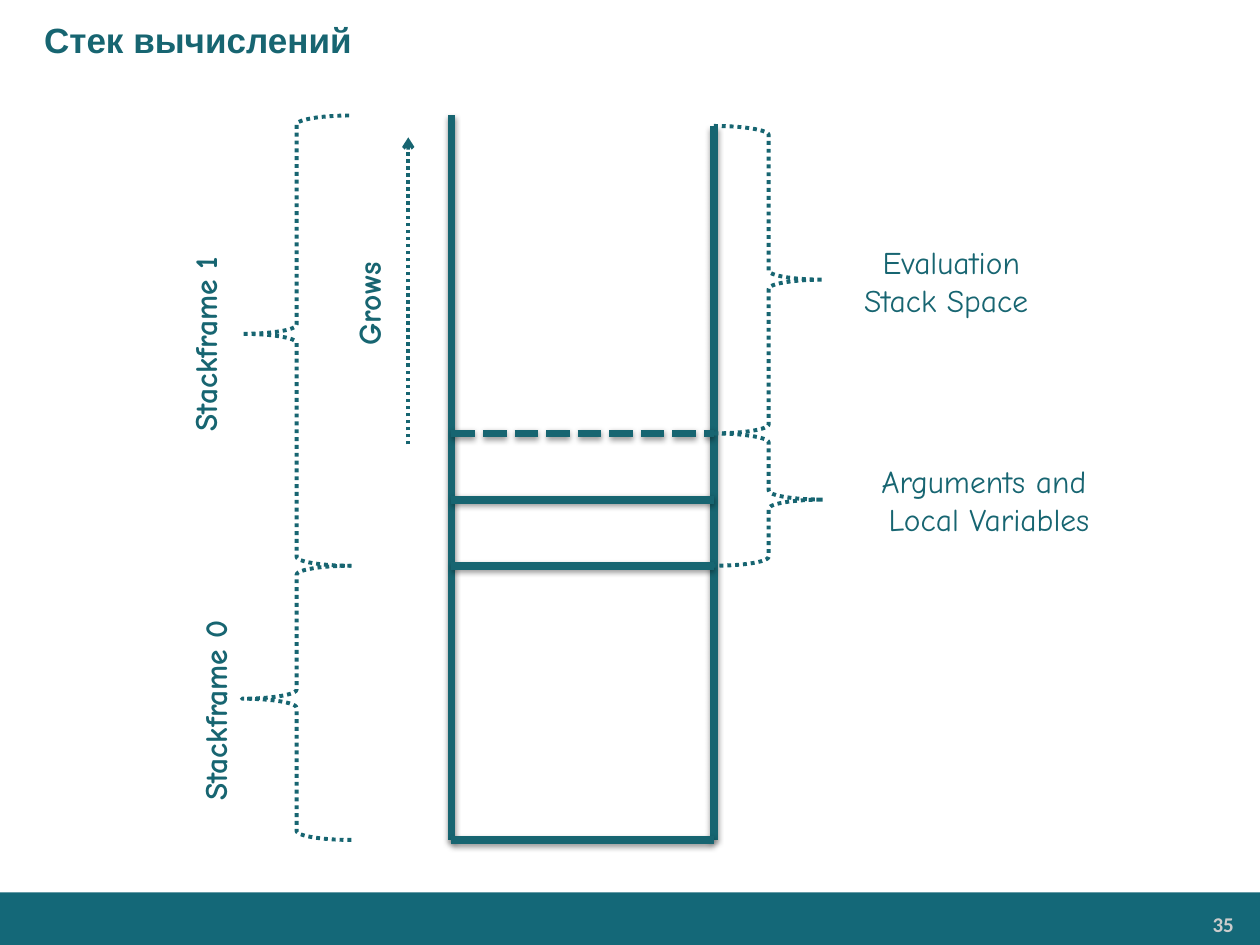
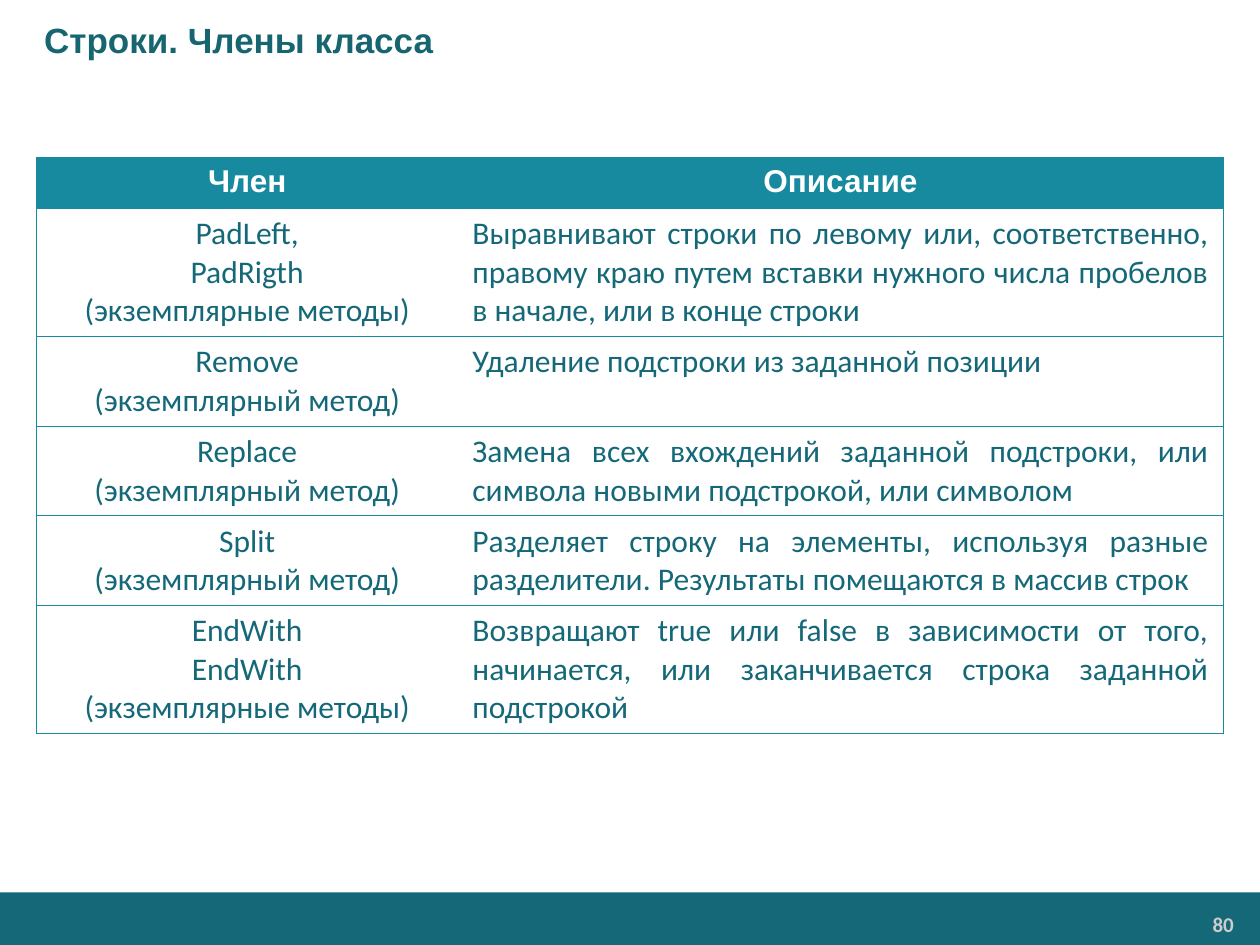
import collections
import dataclasses

import pptx
import pptx.dml.color
import pptx.enum.dml
import pptx.enum.shapes
import pptx.enum.text
import pptx.oxml
import pptx.oxml.ns
import pptx.util
from lxml import etree

Pt = pptx.util.Pt
ALIGN = pptx.enum.text.PP_ALIGN
SHAPE = pptx.enum.shapes.MSO_SHAPE
DASH = pptx.enum.dml.MSO_LINE
qn = pptx.oxml.ns.qn

Box = collections.namedtuple("Box", "left top width height")


@dataclasses.dataclass(frozen=True)
class Theme:
    ink: str = "176571"
    band: str = "146878"
    accent: str = "178AA0"
    white: str = "FFFFFF"
    page_number: str = "CCCCCC"
    title_font: str = "Arial"
    body_font: str = "Calibri"
    diagram_font: str = "Comic Neue"
    title_size: int = 20
    body_size: int = 18
    number_size: int = 12
    wall_width: float = 4.5
    brace_width: float = 2.25
    arrow_width: float = 2
    border_width: float = 0.75


THEME = Theme()
TITLE_BOX = Box(0, 0, 720, 45)
FOOTER_BOX = Box(0, 510, 720, 30)
STACK_BOX = Box(108, 66, 540, 414)
MEMBERS_BOX = Box(21, 90, 678, 325)

MEMBERS = [
    (["PadLeft,", "PadRigth", "(экземплярные методы)"],
     "Выравнивают строки по левому или, соответственно, правому краю путем "
     "вставки нужного числа пробелов в начале, или в конце строки"),
    (["Remove", "(экземплярный метод)"],
     "Удаление подстроки из заданной позиции"),
    (["Replace", "(экземплярный метод)"],
     "Замена всех вхождений заданной подстроки, или символа новыми "
     "подстрокой, или символом"),
    (["Split", "(экземплярный метод)"],
     "Разделяет строку на элементы, используя разные разделители. "
     "Результаты помещаются в массив строк"),
    (["EndWith", "EndWith", "(экземплярные методы)"],
     "Возвращают true или false в зависимости от того, начинается, или "
     "заканчивается строка заданной подстрокой"),
]


# Helpers
def rgb(color):
    return pptx.dml.color.RGBColor.from_string(color)


def points(*lengths):
    return [Pt(length) for length in lengths]


def write(frame, lines, font, size, color, bold=False, aligns=(ALIGN.LEFT,)):
    """Fill a text frame; the last alignment holds for the remaining lines."""
    frame.text = "\n".join(lines)
    for index, paragraph in enumerate(frame.paragraphs):
        paragraph.alignment = aligns[min(index, len(aligns) - 1)]
        paragraph.font.name = font
        paragraph.font.size = Pt(size)
        paragraph.font.bold = bold
        paragraph.font.color.rgb = rgb(color)


def style_line(line, width, dash=None):
    line.color.rgb = rgb(THEME.ink)
    line.width = Pt(width)
    if dash is not None:
        line.dash_style = dash


def add_line(slide, start, end, width, dash=None):
    """Add a straight line and return it with its empty effect list."""
    line = slide.shapes.add_connector(
        pptx.enum.shapes.MSO_CONNECTOR.STRAIGHT, *points(*start, *end))
    style_line(line.line, width, dash)
    effects = etree.SubElement(line._element.spPr, qn("a:effectLst"))
    return line, effects


# Shared slide parts
def add_footer(slide, box, number):
    band = slide.shapes.add_shape(SHAPE.RECTANGLE, *points(*box))
    band.shadow.inherit = False
    band.fill.solid()
    band.fill.fore_color.rgb = rgb(THEME.band)
    band.line.fill.background()

    page = slide.shapes.add_textbox(
        *points(box.left + box.width - 127.5, box.top + 7.7, 117.5, 20))
    frame = page.text_frame
    frame.word_wrap = True
    frame.margin_left = frame.margin_right = Pt(5)
    frame.margin_top = frame.margin_bottom = Pt(3)
    write(frame, [str(number)], THEME.body_font, THEME.number_size,
          THEME.page_number, True, [ALIGN.RIGHT])


def add_slide(deck, heading, number):
    slide = deck.slides.add_slide(deck.slide_layouts[5])
    add_footer(slide, FOOTER_BOX, number)
    title = slide.shapes.title
    title.left, title.top, title.width, title.height = points(*TITLE_BOX)
    frame = title.text_frame
    frame.margin_left = Pt(25.2)
    frame.vertical_anchor = pptx.enum.text.MSO_ANCHOR.MIDDLE
    write(frame, [heading], THEME.title_font, THEME.title_size, THEME.ink, True)
    return slide


# Stack diagram
def add_wall(slide, start, end, dash=None):
    _, effects = add_line(slide, start, end, THEME.wall_width, dash)
    shadow = etree.SubElement(
        effects, qn("a:outerShdw"), blurRad="40000", dist="20000",
        dir="5400000", rotWithShape="0")
    black = etree.SubElement(shadow, qn("a:srgbClr"), val="000000")
    etree.SubElement(black, qn("a:alpha"), val="38000")


def add_brace(slide, kind, left, top, bottom, tip=0.5):
    brace = slide.shapes.add_shape(kind, *points(left, top, 62.6, bottom - top))
    brace.shadow.inherit = False
    brace.fill.background()
    brace.adjustments[0] = 0.083
    brace.adjustments[1] = tip
    style_line(brace.line, THEME.brace_width, DASH.ROUND_DOT)


def add_label(slide, lines, center, size, upright=False, aligns=(ALIGN.CENTER,)):
    (x, y), (width, height) = center, size
    label = slide.shapes.add_textbox(
        *points(x - width / 2, y - height / 2, width, height))
    label.rotation = 270 if upright else 0
    frame = label.text_frame
    frame.word_wrap = False
    frame.auto_size = pptx.enum.text.MSO_AUTO_SIZE.SHAPE_TO_FIT_TEXT
    write(frame, lines, THEME.diagram_font, THEME.body_size, THEME.ink,
          upright, aligns)


def add_stack(slide, box):
    left, right = box.left + 150, box.left + 300
    top, floor = box.top, box.top + box.height
    right_top = top + 6
    slot = 37.8
    frame_base = top + 257.3
    evaluation_base = frame_base - 2 * slot

    # Walls and levels
    add_wall(slide, (left, top), (left, floor))
    add_wall(slide, (right, right_top), (right, floor))
    for level in (floor, frame_base, frame_base - slot):
        add_wall(slide, (left, level), (right, level))
    add_wall(slide, (left, evaluation_base), (right, evaluation_base),
             DASH.SQUARE_DOT)

    # Braces
    for start, end in ((frame_base, floor), (top, frame_base)):
        add_brace(slide, SHAPE.LEFT_BRACE, box.left + 30.2, start, end, 0.485)
    for start, end in ((evaluation_base, frame_base),
                       (right_top, evaluation_base)):
        add_brace(slide, SHAPE.RIGHT_BRACE, right, start, end)

    # Growth arrow
    arrow_x = box.left + 125.3
    arrow, _ = add_line(slide, (arrow_x, top + 188), (arrow_x, top + 12.5),
                        THEME.arrow_width, DASH.ROUND_DOT)
    etree.SubElement(arrow._element.spPr.find(qn("a:ln")), qn("a:tailEnd"),
                     type="arrow")

    # Labels
    for text, x, y, length in (("Stackframe 1", 9, 130.6, 124.6),
                               ("Stackframe 0", 14.8, 340, 124.6),
                               ("Grows", 102.6, 107.5, 64)):
        add_label(slide, [text], (box.left + x, top + y), (length, 29), True)
    add_label(slide, ["Evaluation", "Stack Space"],
              (box.left + 435.6, top + 95), (113.8, 51),
              aligns=(ALIGN.CENTER, ALIGN.LEFT))
    add_label(slide, ["Arguments and ", "Local Variables"],
              (box.left + 457.2, top + 220.2), (148.3, 51))


# Table of class members
def set_borders(cell, sides):
    """Draw the given sides of a cell and clear the others."""
    properties = cell._tc.get_or_add_tcPr()
    for side in "LRTB":
        border = etree.SubElement(properties, qn("a:ln" + side),
                                  w=str(Pt(THEME.border_width)))
        if side in sides:
            fill = etree.SubElement(border, qn("a:solidFill"))
            etree.SubElement(fill, qn("a:srgbClr"), val=THEME.accent)
        else:
            etree.SubElement(border, qn("a:noFill"))


def add_members(slide, box):
    table = slide.shapes.add_table(
        len(MEMBERS) + 1, 2, *points(*box)).table
    table.horz_banding = False
    name_width = 240.5
    table.columns[0].width = Pt(name_width)
    table.columns[1].width = Pt(box.width - name_width)

    rows = [(["Член"], "Описание")] + MEMBERS
    for index, (names, description) in enumerate(rows):
        header = index == 0
        table.rows[index].height = Pt(22 * len(names) + 7.2)
        for column, lines in enumerate((names, [description])):
            cell = table.cell(index, column)
            cell.margin_left = cell.margin_right = Pt(8.5)
            cell.margin_top = cell.margin_bottom = Pt(3.6)
            set_borders(cell, "TB" + "LR"[column])
            if header:
                cell.fill.solid()
                cell.fill.fore_color.rgb = rgb(THEME.accent)
            else:
                cell.fill.background()
            centred = header or column == 0
            write(cell.text_frame, lines,
                  THEME.title_font if header else THEME.body_font,
                  THEME.body_size, THEME.white if header else THEME.band,
                  header, [ALIGN.CENTER if centred else ALIGN.JUSTIFY])


def main():
    deck = pptx.Presentation()
    deck.slide_width, deck.slide_height = points(720, 540)
    add_stack(add_slide(deck, "Стек вычислений", 35), STACK_BOX)
    add_members(add_slide(deck, "Строки. Члены класса", 80), MEMBERS_BOX)
    deck.save("out.pptx")


if __name__ == "__main__":
    main()
